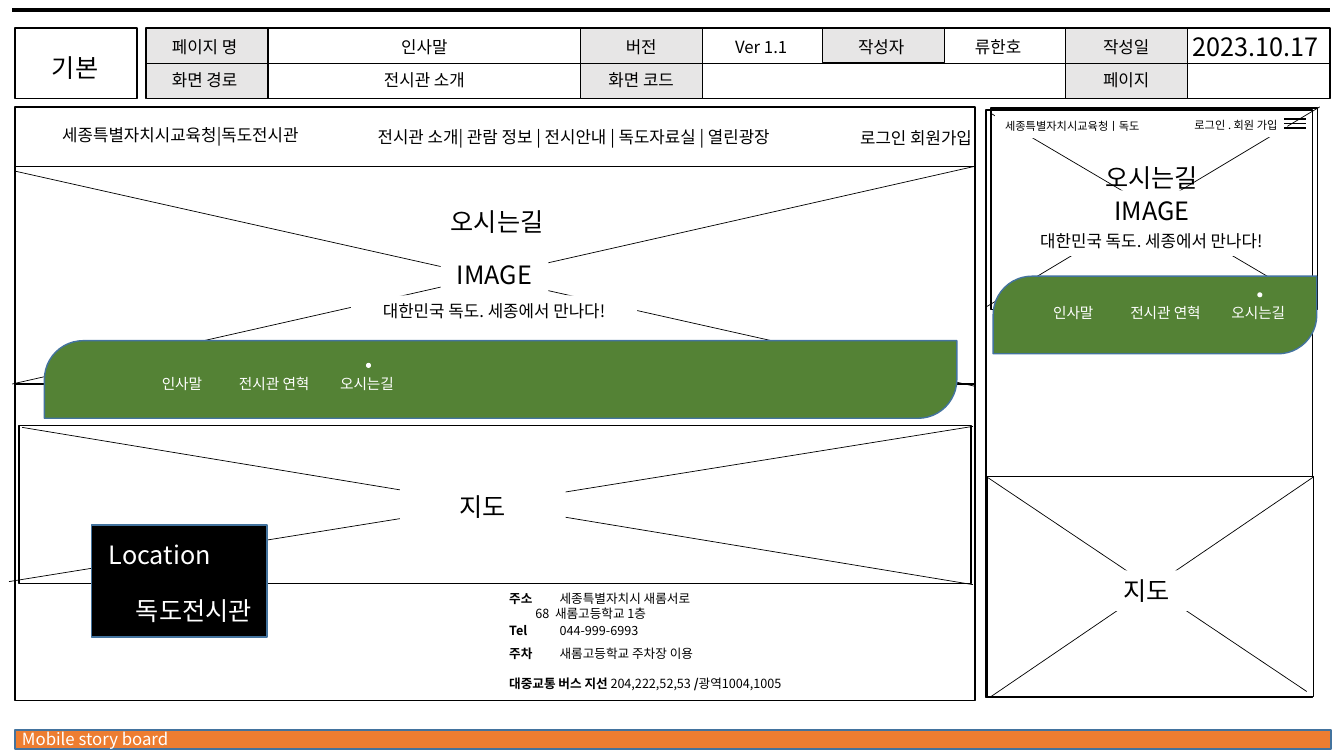
"""Builds a storyboard slide for a museum page, desktop view beside mobile view."""
from dataclasses import dataclass
from lxml import etree
from pptx import Presentation
from pptx import util as u
from pptx.dml.color import RGBColor
from pptx.enum import shapes, text
from pptx.oxml.ns import qn

SHAPE = shapes.MSO_SHAPE
ALIGN = {"l": text.PP_ALIGN.LEFT, "c": text.PP_ALIGN.CENTER, "r": text.PP_ALIGN.RIGHT}


@dataclass
class Theme:
    """Colours, type sizes and the grid cell."""
    font: str = "Noto Sans CJK KR"
    ink: str = "000000"
    white: str = "FFFFFF"
    gray: str = "E7E6E6"
    green: str = "548235"
    orange: str = "ED7D31"
    edge: str = "43739E"
    big: float = 18
    mid: float = 12
    tab: float = 10.5
    note: float = 9
    tiny: float = 8
    cell: float = 0.1


class Page:
    """Draws elements on one slide; lengths are grid columns and rows."""

    def __init__(self, deck, theme):
        """Open a title and content slide."""
        self.th = theme
        self.slide = deck.slides.add_slide(deck.slide_layouts[1])
        self.all = self.slide.shapes

    def size(self, *cells):
        """Turn grid cells into lengths."""
        return [u.Inches(c * self.th.cell) for c in cells]

    def place(self, item, at):
        """Move a placeholder onto the grid."""
        item.left, item.top, item.width, item.height = self.size(*at)

    def style(self, run, pt, ink, bold=False):
        """Format one run."""
        run.font.size, run.font.bold = u.Pt(pt), bold
        run.font.name = self.th.font
        run.font.color.rgb = RGBColor.from_string(ink)
        east = etree.SubElement(run.font._element, qn("a:ea"))
        east.set("typeface", self.th.font)

    def put(self, item, words, pt, ink=None, al="c"):
        """Put one formatted line into a shape."""
        frame = item.text_frame
        frame.text = words
        frame.word_wrap = True
        frame.auto_size = text.MSO_AUTO_SIZE.NONE
        frame.vertical_anchor = text.MSO_ANCHOR.MIDDLE
        line = frame.paragraphs[0]
        line.alignment = ALIGN[al]
        for run in line.runs:
            self.style(run, pt, ink or self.th.ink)

    def box(self, at, fill=None, edge=None, kind=SHAPE.RECTANGLE, wide=1):
        """Add a preset shape."""
        item = self.all.add_shape(kind, *self.size(*at))
        item.shadow.inherit = False
        if fill:
            item.fill.solid()
            item.fill.fore_color.rgb = RGBColor.from_string(fill)
        else:
            item.fill.background()
        if edge:
            item.line.color.rgb = RGBColor.from_string(edge)
            item.line.width = u.Pt(wide)
        else:
            item.line.fill.background()
        return item

    def label(self, at, words, pt, ink=None, al="c"):
        """Add a text box."""
        self.put(self.all.add_textbox(*self.size(*at)), words, pt, ink, al)

    def plate(self, at, words, pt, al="c"):
        """Add text on a white plate."""
        self.put(self.box(at, self.th.white), words, pt, al=al)

    def line(self, ends, wide=0.5):
        """Add a straight line."""
        item = self.all.add_connector(shapes.MSO_CONNECTOR.STRAIGHT, *self.size(*ends))
        item.line.color.rgb = RGBColor.from_string(self.th.ink)
        item.line.width = u.Pt(wide)
        etree.SubElement(item._element.spPr, qn("a:effectLst"))

    def title(self, at, words):
        """Set the page title."""
        item = self.all.title
        self.place(item, at)
        self.put(item, words, self.th.big)

    def notes(self, at, rows, stop):
        """Set the body list; a row holds gap, indent and runs."""
        item = self.slide.placeholders[1]
        self.place(item, at)
        frame = item.text_frame
        frame.auto_size = text.MSO_AUTO_SIZE.NONE
        frame.vertical_anchor = text.MSO_ANCHOR.TOP
        for i, (gap, dent, runs) in enumerate(rows):
            para = frame.add_paragraph() if i else frame.paragraphs[0]
            para.line_spacing, para.space_before = u.Pt(11), u.Pt(gap)
            prop = para._p.get_or_add_pPr()
            prop.set("marL", str(self.size(dent)[0]))
            prop.set("indent", "0")
            etree.SubElement(prop, qn("a:buNone"))
            tabs = etree.SubElement(prop, qn("a:tabLst"))
            etree.SubElement(tabs, qn("a:tab"), pos=str(self.size(stop)[0]), algn="l")
            for words, bold in runs:
                run = para.add_run()
                run.text = words
                self.style(run, self.th.note, self.th.ink, bold)

    def menu(self, bar, x, y):
        """Add a green bar with three tabs and a dot over the last."""
        item = self.box(bar, self.th.green, self.th.edge, SHAPE.ROUND_2_DIAG_RECTANGLE)
        item.adjustments[0], item.adjustments[1] = 0.5, 0
        for step, wide, words in ((0, 9.5, "인사말"), (8, 11.8, "전시관 연혁"), (17.2, 11.8, "오시는길")):
            self.label((x + step, y, wide, 2.9), words, self.th.tab, self.th.white)
        self.box((x + 23, y - 0.6, 0.5, 0.5), self.th.white, kind=SHAPE.OVAL)

    def hero(self, mid, top, low):
        """Add the image plate and the slogan plate about a centre."""
        self.plate((mid - 5.3, top, 10.7, 4), "IMAGE", self.th.big)
        self.plate((mid - 14.2, low, 28.4, 3), "대한민국 독도. 세종에서 만나다!", self.th.mid)


th = Theme()
deck = Presentation()
deck.slide_width, deck.slide_height = u.Inches(13.33), u.Inches(7.5)
page = Page(deck, th)

page.title((40.2, 20, 18.2, 4), "오시는길")
page.notes((49.5, 58.1, 45.5, 11.5), [
    (0, 0, [("주소\t", True), ("세종특별자치시 새롬서로", False)]),
    (0, 2.6, [("68  새롬고등학교 1층", False)]),
    (0.5, 0, [("Tel\t", True), ("044-999-6993", False)]),
    (6, 0, [("주차\t", True), ("새롬고등학교 주차장 이용", False)]),
    (10, 0, [("대중교통 버스 지선 ", True), ("204,222,52,53 ", False),
             ("/", True), ("광역1004,1005", False)]),
], 3.4)

page.line((1.2, 1, 131.9, 1), 3)
page.box((1.5, 72.4, 130.5, 1.9), th.orange, th.edge)
page.label((1.2, 71.8, 32, 3), "Mobile story board", th.mid, th.white, "l")

for at in ((1.5, 2.8, 12.1, 7), (14.5, 2.8, 117.4, 7), (1.5, 10.6, 95.2, 58.9)):
    page.box(at, edge=th.ink)
for x, high in ((14.5, 7), (57.6, 7), (81.6, 3.4), (105.7, 7)):
    page.box((x, 2.8, 12.1, high), th.gray, th.ink)
page.line((14.5, 6.3, 131.9, 6.3))
page.label((1.7, 4.6, 11.5, 4.2), "기본", th.big)
for mid, top, low in ((20.3, "페이지 명", "화면 경로"), (42.1, "인사말", "전시관 소개"),
                      (63.6, "버전", "화면 코드"), (75.5, "Ver 1.1", ""), (87.4, "작성자", ""),
                      (99, "류한호", ""), (111.7, "작성일", "페이지")):
    for y, words in ((3.1, top), (6.4, low)):
        if words:
            page.label((mid - 10, y, 20, 3), words, th.mid)
page.label((114.5, 2.6, 20.1, 4), "2023.10.17", th.big)

page.box((1.5, 16.5, 95.2, 21.6), edge=th.ink)
page.label((2.6, 11.9, 30.6, 3), "세종특별자치시교육청|독도전시관", th.mid)
page.label((33.7, 12.1, 46.4, 3), "전시관 소개| 관람 정보 | 전시안내 | 독도자료실 | 열린광장", th.mid)
page.label((58.3, 12.2, 39.1, 3), "로그인 회원가입", th.mid, al="r")
page.line((1.2, 38.1, 96.7, 16.5))
page.line((1.6, 17, 96.6, 38.3))
page.hero(49, 25.2, 29.3)
page.menu((4.4, 33.8, 90.5, 7.7), 13.3, 36.6)

page.box((1.9, 42.2, 94.4, 15.7), th.white, th.ink)
page.line((0.9, 57.7, 96.5, 42.3))
page.line((96.5, 58, 2.2, 42.4))
page.plate((39.7, 48.5, 16.4, 3.4), "지도", th.big)
page.box((9.1, 52.1, 17.4, 11.1), th.ink, th.edge)
page.label((9.8, 53, 15.1, 4), "Location", th.big, th.white, "l")
page.label((12.5, 58.6, 15.1, 4), "독도전시관", th.big, th.white, "l")

page.box((98.3, 10.7, 32.4, 20), th.white, th.ink)
page.box((97.8, 10.9, 32.4, 58.3), edge=th.ink)
page.line((97.9, 30.4, 130.9, 10.6))
page.line((130.6, 30.3, 98.2, 11.2))
page.plate((98.7, 11.3, 18.7, 2.4), "세종특별자치시교육청ㅣ독도", th.tiny, "l")
page.plate((115.3, 11.2, 12.4, 2.4), "로그인 . 회원 가입", th.tiny, "r")
for i in range(3):
    y = 11.8 + 0.45 * i
    page.line((127.4, y, 129.5, y), 1)
page.hero(114.2, 18.9, 22.4)
page.label((105.1, 15.6, 18.2, 4), "오시는길", th.big)
page.menu((98.5, 27.4, 32.1, 7.7), 101.7, 29.6)

page.box((97.9, 47.3, 32.4, 21.8), th.white, th.ink)
page.line((98.3, 69.1, 130.3, 47.3))
page.line((129.6, 68.6, 98, 47.4))
page.plate((108.4, 56.6, 10.7, 4), "지도", th.big)

deck.save("out.pptx")
